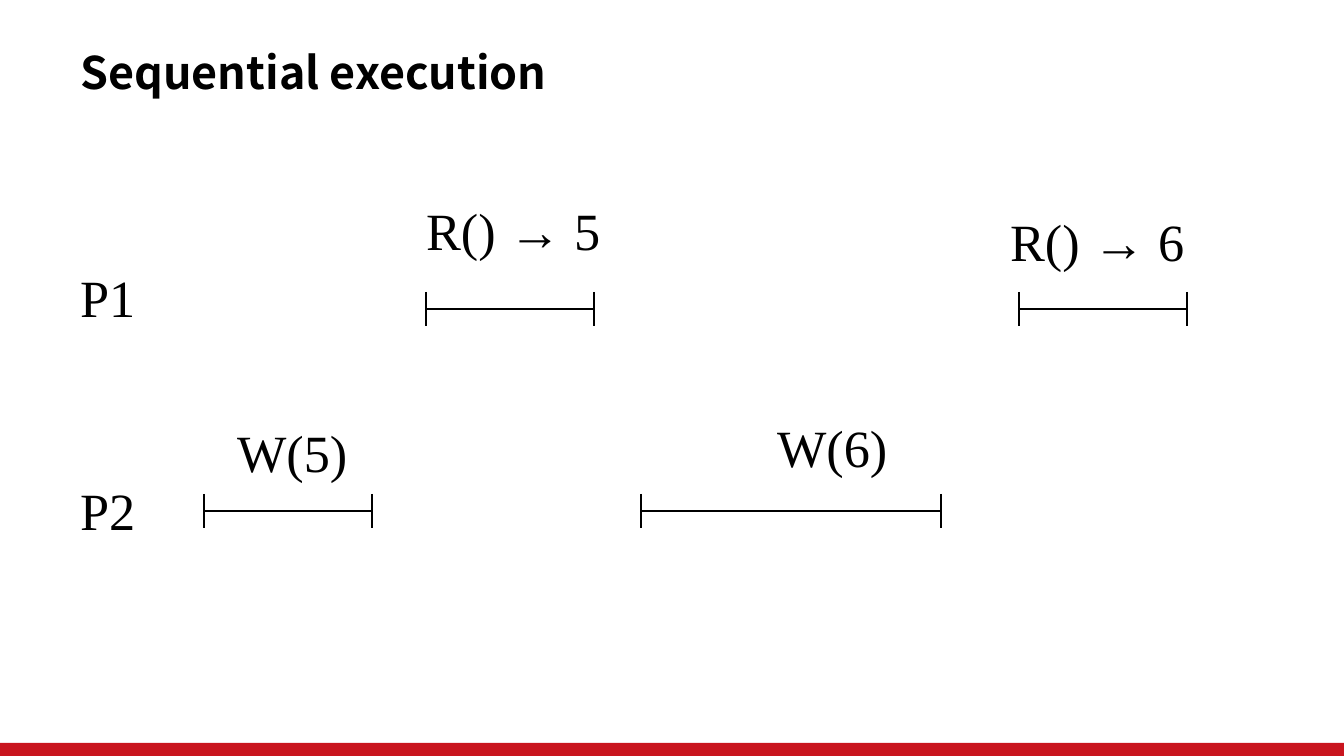
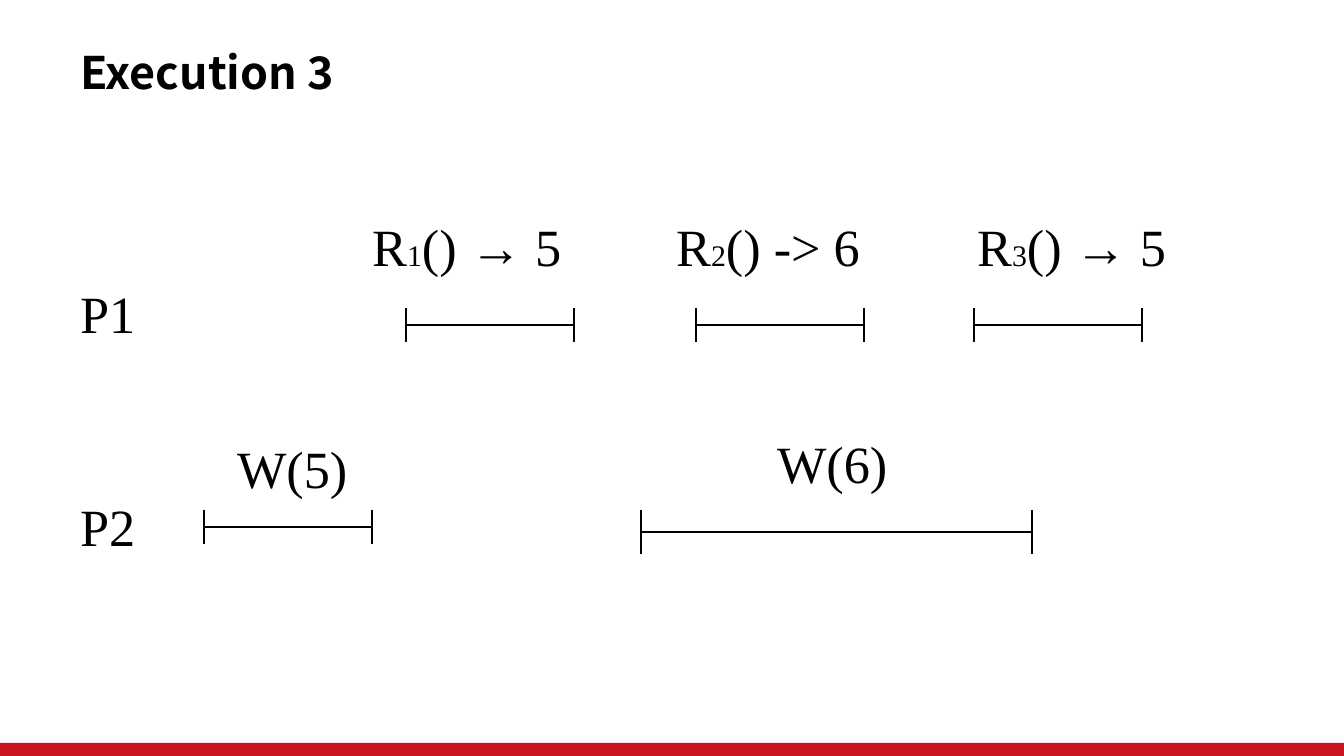
from dataclasses import dataclass

import lxml.etree
import pptx
import pptx.dml.color
import pptx.enum.shapes
import pptx.enum.text
import pptx.oxml.ns
import pptx.util

PX = 914400 / 134.4
WIDTH, HEIGHT = 1344, 756
TITLE_BOX = (67, 39, 935, 66)
BAND_TOP, BAND_HEIGHT = 743, 13
P1_LINE, P2_LINE = 309, 511
P1_TOP, P2_TOP = 259, 472
PROCESS_LEFT, PROCESS_WIDTH = 67, 82
WRITE_WIDTH, LABEL_HEIGHT = 137, 77
SHORT_SPAN, TICK = 168, 17


@dataclass(frozen=True)
class Theme:
    """Colours, fonts and type sizes of the deck."""
    ink: str = "000000"
    band: str = "C9151E"
    title_font: str = "Noto Sans CJK SC"
    label_font: str = "Times New Roman"
    title_size: int = 24
    label_size: int = 28
    index_size: int = 16
    line_width: float = 0.75


THEME = Theme()


def emu(*lengths):
    """Turn px lengths into EMU."""
    return [pptx.util.Emu(round(length * PX)) for length in lengths]


def rgb(value):
    """Turn a hex string into a colour."""
    return pptx.dml.color.RGBColor.from_string(value)


def write(frame, runs, font=THEME.label_font, bold=False, wrap=False,
          autosize=pptx.enum.text.MSO_AUTO_SIZE.SHAPE_TO_FIT_TEXT,
          anchor=pptx.enum.text.MSO_ANCHOR.TOP):
    """Write one left-aligned line of (text, size) runs into a text frame."""
    frame.word_wrap = wrap
    frame.auto_size = autosize
    frame.vertical_anchor = anchor
    line = frame.paragraphs[0]
    line.alignment = pptx.enum.text.PP_ALIGN.LEFT
    for text, size in runs:
        run = line.add_run()
        run.text = text
        run.font.name = font
        run.font.size = pptx.util.Pt(size)
        run.font.bold = bold
        run.font.color.rgb = rgb(THEME.ink)


def add_label(slide, runs, left, top, width, wrap=False):
    """Add a text label in the diagram type."""
    box = slide.shapes.add_textbox(*emu(left, top, width, LABEL_HEIGHT))
    write(box.text_frame, runs, wrap=wrap)


def add_read(slide, index, result, left, top, width):
    """Add the label of a read, with an optional small index."""
    if index:
        runs = [("R", THEME.label_size), (index, THEME.index_size),
                (f"() {result}", THEME.label_size)]
    else:
        runs = [(f"R() {result}", THEME.label_size)]
    add_label(slide, runs, left, top, width, wrap=True)


def add_span(slide, start, end, y, tick=TICK):
    """Add a grouped time span with a tick at both ends."""
    span = slide.shapes.add_group_shape()
    for x1, y1, x2, y2 in ((start, y, end, y),
                           (start, y - tick, start, y + tick),
                           (end, y - tick, end, y + tick)):
        stroke = span.shapes.add_connector(
            pptx.enum.shapes.MSO_CONNECTOR.STRAIGHT, *emu(x1, y1, x2, y2))
        stroke.line.color.rgb = rgb(THEME.ink)
        stroke.line.width = pptx.util.Pt(THEME.line_width)
        lxml.etree.SubElement(stroke.element.spPr, pptx.oxml.ns.qn("a:effectLst"))


def add_master_band(deck, slide):
    """Draw the bottom band and move it to the slide master."""
    band = slide.shapes.add_shape(
        pptx.enum.shapes.MSO_SHAPE.RECTANGLE,
        *emu(0, BAND_TOP, WIDTH, BAND_HEIGHT))
    band.shadow.inherit = False
    band.fill.solid()
    band.fill.fore_color.rgb = rgb(THEME.band)
    band.line.fill.background()
    band.element.nvSpPr.cNvPr.set("id", "20")
    deck.slide_master.shapes.element.append(band.element)


def add_titled_slide(deck, title):
    """Add a title-only slide with the shared title style."""
    slide = deck.slides.add_slide(deck.slide_layouts[5])
    heading = slide.shapes.title
    heading.left, heading.top, heading.width, heading.height = emu(*TITLE_BOX)
    write(heading.text_frame, [(title, THEME.title_size)],
          font=THEME.title_font, bold=True, wrap=True,
          autosize=pptx.enum.text.MSO_AUTO_SIZE.NONE,
          anchor=pptx.enum.text.MSO_ANCHOR.MIDDLE)
    return slide


def add_execution(deck, title, reads, read_starts, long_write_end,
                  drop=0, long_write_drop=0):
    """Add a timeline slide with reads on P1 and two writes on P2."""
    slide = add_titled_slide(deck, title)
    for process, top in (("P1", P1_TOP), ("P2", P2_TOP)):
        add_label(slide, [(process, THEME.label_size)],
                  PROCESS_LEFT, top + drop, PROCESS_WIDTH)
    for operation, left, top in (("W(5)", 224, 414), ("W(6)", 764, 409)):
        add_label(slide, [(operation, THEME.label_size)],
                  left, top + drop, WRITE_WIDTH)
    add_span(slide, 204, 204 + SHORT_SPAN, P2_LINE + drop)
    add_span(slide, 641, long_write_end, P2_LINE + drop + long_write_drop,
             TICK + long_write_drop)
    for start in read_starts:
        add_span(slide, start, start + SHORT_SPAN, P1_LINE + drop)
    for index, result, left, top, width in reads:
        add_read(slide, index, result, left, top + drop, width)
    return slide


def main():
    """Build and save the deck."""
    deck = pptx.Presentation()
    deck.slide_width, deck.slide_height = emu(WIDTH, HEIGHT)
    sequential = add_execution(
        deck, "Sequential execution",
        reads=[("", "→ 5", 413, 192, 212), ("", "→ 6", 997, 203, 235)],
        read_starts=(426, 1019), long_write_end=941)
    add_master_band(deck, sequential)
    add_execution(
        deck, "Execution 3",
        reads=[("1", "→ 5", 359, 192, 228), ("2", "-> 6", 663, 192, 228),
               ("3", "→ 5", 964, 192, 255)],
        read_starts=(406, 696, 974), long_write_end=1032,
        drop=16, long_write_drop=5)
    deck.save("out.pptx")


if __name__ == "__main__":
    main()
